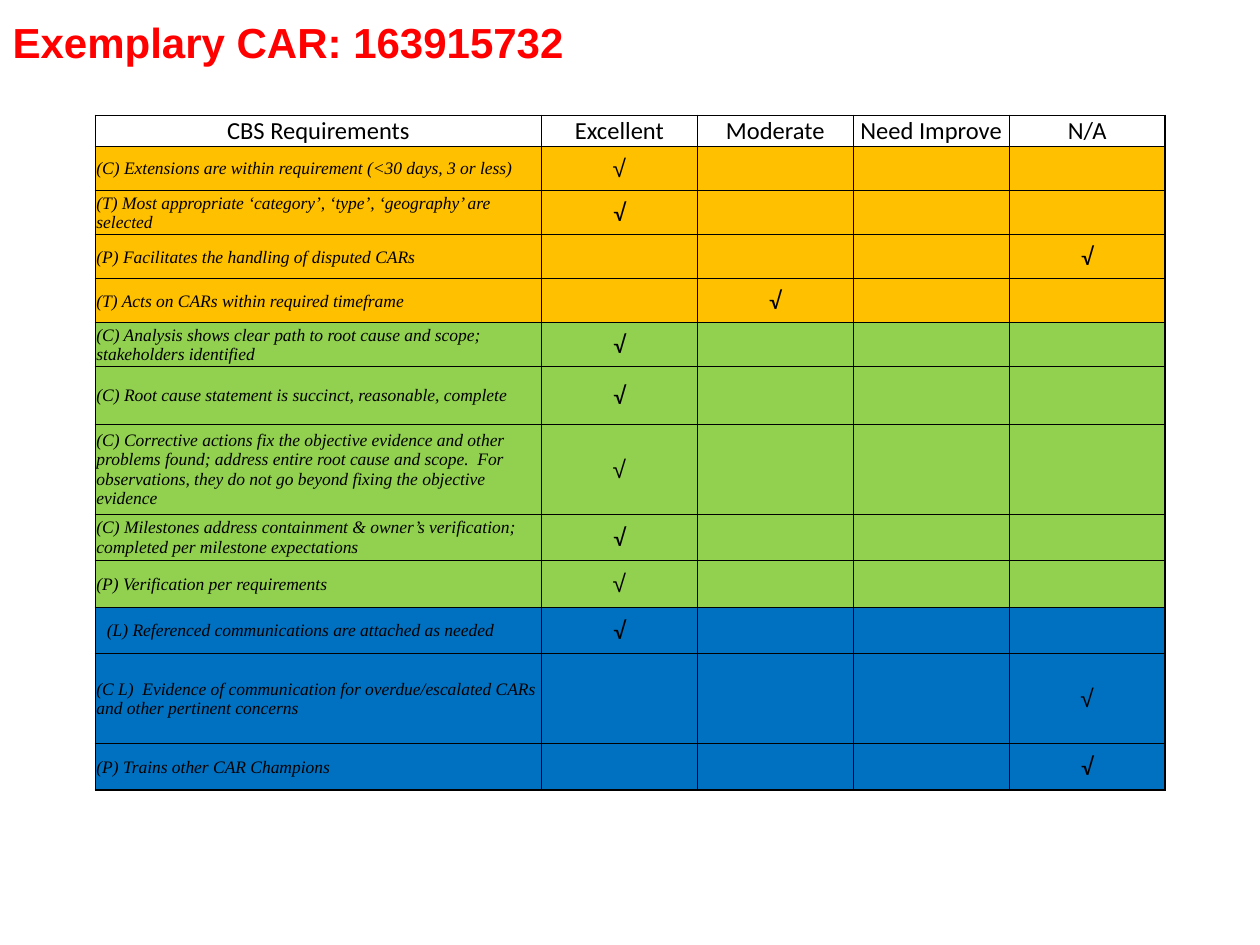
from lxml import etree
from pptx import Presentation
from pptx.dml.color import RGBColor
from pptx.enum.text import MSO_ANCHOR, MSO_AUTO_SIZE, PP_ALIGN
from pptx.oxml.ns import qn
from pptx.util import Pt

LEFT, CENTER = PP_ALIGN.LEFT, PP_ALIGN.CENTER
TOP, MIDDLE, BOTTOM = MSO_ANCHOR.TOP, MSO_ANCHOR.MIDDLE, MSO_ANCHOR.BOTTOM
NO_AUTOFIT = MSO_AUTO_SIZE.NONE

COLORS = {"title": "FF0000", "text": "000000", "border": "000000",
          "orange": "FFC000", "green": "92D050", "blue": "0070C0"}

TITLE_FONT = {"name": "Arial", "size": Pt(24), "bold": True}
HEADER_FONT = {"name": "Calibri", "size": Pt(14)}
REQUIREMENT_FONT = {"name": "Times New Roman", "size": Pt(10), "italic": True}
MARK_SIZE = Pt(14)

HEADERS = ["CBS Requirements", "Excellent", "Moderate", "Need Improve", "N/A"]
EXCELLENT, MODERATE, NOT_APPLICABLE = 1, 2, 4
COLUMN_SHARES = [254.9, 89.1, 89.1, 89.1, 89.1]
HEADER_HEIGHT = 17.7

# Requirement, row height, band colour, rated column, font of the mark
REQUIREMENTS = [
    ("(C) Extensions are within requirement (<30 days, 3 or less)",
     25.2, "orange", EXCELLENT, "Arial"),
    ("(T) Most appropriate ‘category’, ‘type’, ‘geography’ are selected",
     25.2, "orange", EXCELLENT, "Calibri"),
    ("(P) Facilitates the handling of disputed CARs",
     25.2, "orange", NOT_APPLICABLE, "Calibri"),
    ("(T) Acts on CARs within required timeframe",
     25.2, "orange", MODERATE, "Calibri"),
    ("(C) Analysis shows clear path to root cause and scope; stakeholders identified",
     24.8, "green", EXCELLENT, "Calibri"),
    ("(C) Root cause statement is succinct, reasonable, complete",
     33.1, "green", EXCELLENT, "Calibri"),
    ("(C) Corrective actions fix the objective evidence and other problems found; "
     "address entire root cause and scope.  For observations, they do not go beyond "
     "fixing the objective evidence",
     51.4, "green", EXCELLENT, "Arial"),
    ("(C) Milestones address containment & owner’s verification; "
     "completed per milestone expectations",
     26.5, "green", EXCELLENT, "Calibri"),
    ("(P) Verification per requirements",
     26.7, "green", EXCELLENT, "Arial"),
    ("(L) Referenced communications are attached as needed",
     26.7, "blue", EXCELLENT, "Calibri"),
    ("(C L)  Evidence of communication for overdue/escalated CARs "
     "and other pertinent concerns",
     51.4, "blue", NOT_APPLICABLE, "Arial"),
    ("(P) Trains other CAR Champions",
     26.5, "blue", NOT_APPLICABLE, "Calibri"),
]
INDENTED_ROW = 10


def set_attributes(target, values):
    for name, value in values.items():
        setattr(target, name, value)


def write_text(paragraph, text, font_values, color, alignment):
    paragraph.alignment = alignment
    run = paragraph.add_run()
    run.text = text
    set_attributes(run.font, font_values)
    run.font.color.rgb = RGBColor.from_string(COLORS[color])


def set_borders(cell, widths):
    """Draw the cell's edges; widths maps L, R, T and B to points."""
    properties = cell._tc.get_or_add_tcPr()
    for side, width in widths.items():
        line = etree.SubElement(properties, qn(f"a:ln{side}"), w=str(Pt(width)))
        fill = etree.SubElement(line, qn("a:solidFill"))
        etree.SubElement(fill, qn("a:srgbClr"), val=COLORS["border"])


def add_title(slide, left, top, width, height):
    title = slide.shapes.title
    set_attributes(title, {"left": Pt(left), "top": Pt(top),
                           "width": Pt(width), "height": Pt(height)})
    frame = title.text_frame
    set_attributes(frame, {"word_wrap": False, "auto_size": NO_AUTOFIT,
                           "vertical_anchor": TOP})
    write_text(frame.paragraphs[0], "Exemplary CAR: 163915732", TITLE_FONT, "title", LEFT)


def format_cell(cell, row, column, last_row, last_column):
    set_attributes(cell, {"margin_left": Pt(0.6), "margin_right": Pt(0.6),
                          "margin_top": Pt(0.6), "margin_bottom": 0,
                          "vertical_anchor": MIDDLE if row else BOTTOM})
    # Outer edges are heavier than the inner grid
    set_borders(cell, {"L": 0.5 if column else 1,
                       "R": 1 if column == last_column else 0.5,
                       "T": 0.5 if row else 1,
                       "B": 1 if row == last_row else 0.5})
    if row:
        cell.fill.solid()
        cell.fill.fore_color.rgb = RGBColor.from_string(COLORS[REQUIREMENTS[row - 1][2]])
    else:
        cell.fill.background()


def add_scorecard(slide, left, top, width):
    heights = [HEADER_HEIGHT] + [requirement[1] for requirement in REQUIREMENTS]
    table = slide.shapes.add_table(len(heights), len(HEADERS), Pt(left), Pt(top),
                                   Pt(width), Pt(sum(heights))).table
    set_attributes(table, {"first_row": False, "horz_banding": False})
    for column, share in zip(table.columns, COLUMN_SHARES):
        column.width = Pt(width * share / sum(COLUMN_SHARES))
    for row, height in zip(table.rows, heights):
        row.height = Pt(height)

    # Grid, fills and margins
    for row in range(len(heights)):
        for column in range(len(HEADERS)):
            format_cell(table.cell(row, column), row, column,
                        len(heights) - 1, len(HEADERS) - 1)
    table.cell(INDENTED_ROW, 0).margin_left = Pt(6.6)

    # Header row
    for column, header in enumerate(HEADERS):
        paragraph = table.cell(0, column).text_frame.paragraphs[0]
        write_text(paragraph, header, HEADER_FONT, "text", CENTER)

    # Requirements and their marks
    for row, (text, _, _, rating, mark_font) in enumerate(REQUIREMENTS, start=1):
        write_text(table.cell(row, 0).text_frame.paragraphs[0],
                   text, REQUIREMENT_FONT, "text", LEFT)
        write_text(table.cell(row, rating).text_frame.paragraphs[0],
                   "√", {"name": mark_font, "size": MARK_SIZE}, "text", CENTER)


def main():
    presentation = Presentation()
    presentation.slide_width, presentation.slide_height = Pt(720), Pt(540)
    slide = presentation.slides.add_slide(presentation.slide_layouts[5])
    add_title(slide, 0, 5.8, 332.6, 36)
    add_scorecard(slide, 54.5, 66, 611.3)
    presentation.save("out.pptx")


if __name__ == "__main__":
    main()
